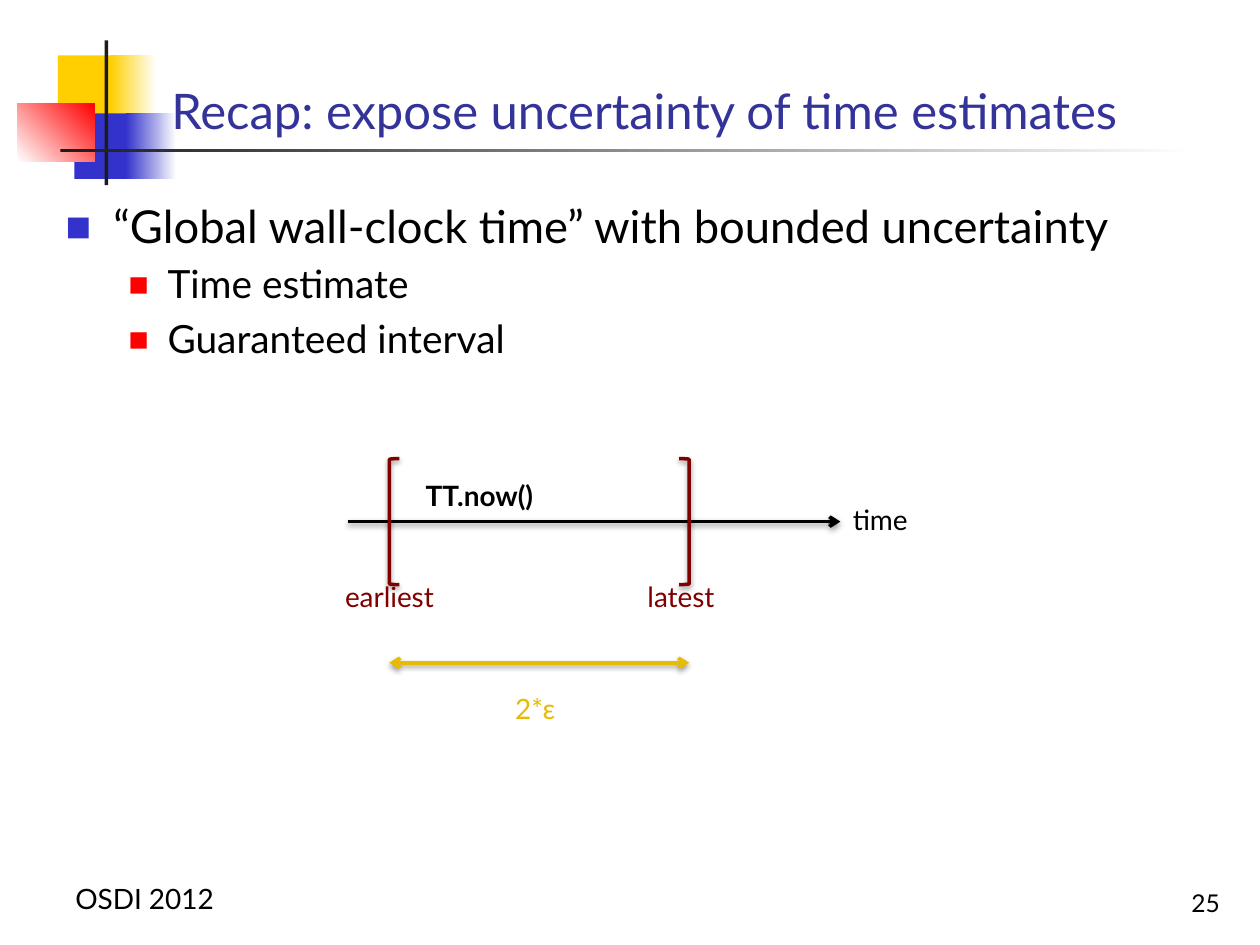
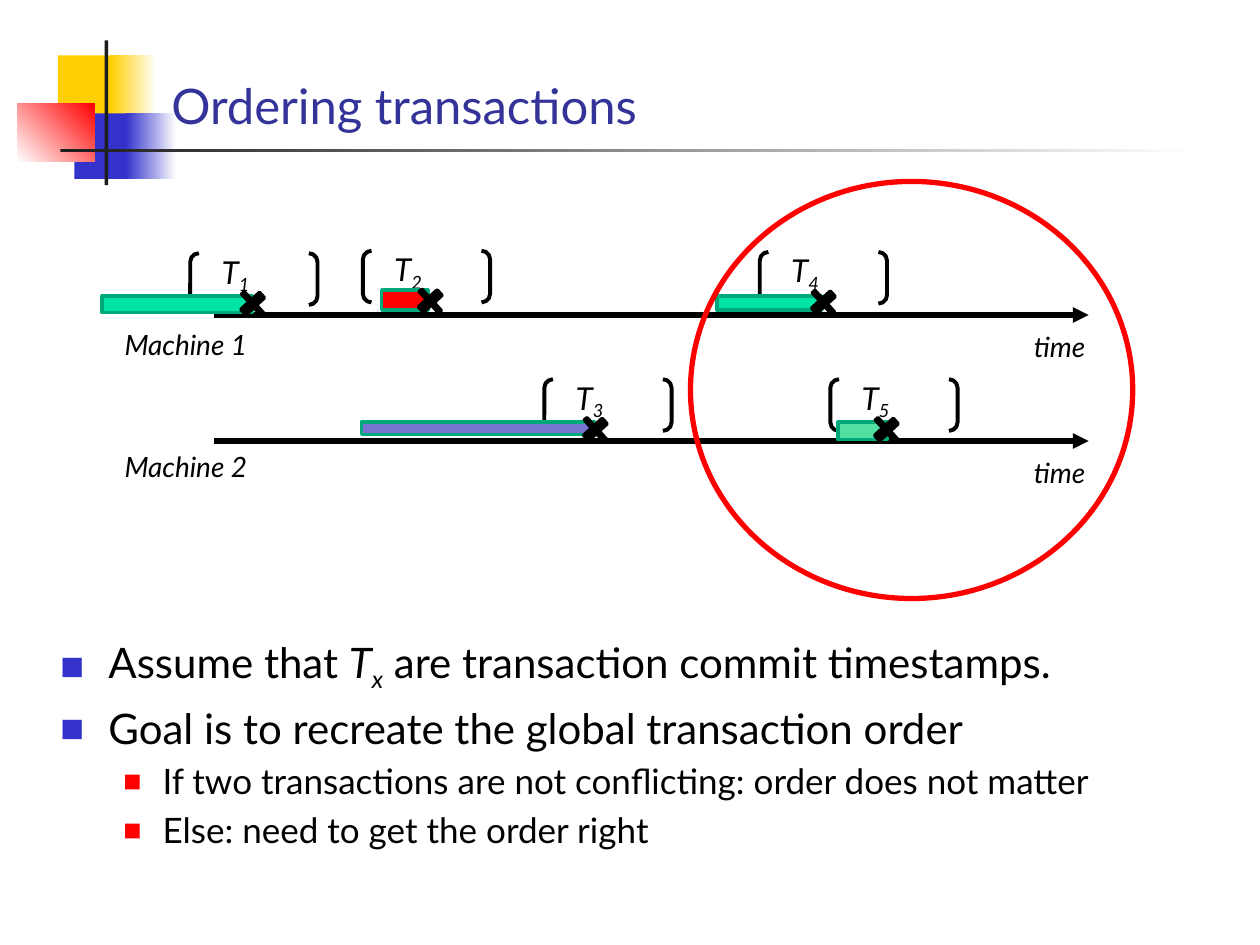
import pptx
import pptx.util
import pptx.dml.color
import pptx.enum.shapes
import pptx.enum.text
import pptx.oxml.ns
from lxml import etree

RGB = pptx.dml.color.RGBColor
SHAPE = pptx.enum.shapes.MSO_SHAPE
ALIGN = pptx.enum.text.PP_ALIGN
ANCHOR = pptx.enum.text.MSO_ANCHOR
FIT = pptx.enum.text.MSO_AUTO_SIZE
Pt = pptx.util.Pt
qn = pptx.oxml.ns.qn

BLACK = RGB(0x00, 0x00, 0x00)
WHITE = RGB(0xFF, 0xFF, 0xFF)
INK = RGB(0x1C, 0x1C, 0x1C)
YELLOW = RGB(0xFF, 0xCF, 0x01)
BLUE = RGB(0x33, 0x33, 0xCC)
RED = RGB(0xFF, 0x00, 0x00)
TITLE_BLUE = RGB(0x33, 0x33, 0x99)
MAROON = RGB(0x80, 0x00, 0x00)
GOLD = RGB(0xE7, 0xBB, 0x01)
MINT = RGB(0x00, 0xE4, 0xA8)
PALE_GREEN = RGB(0x54, 0xDF, 0xA2)
VIOLET = RGB(0x75, 0x75, 0xD1)
TEAL = RGB(0x00, 0xA9, 0x7C)

FONT = "Lato"
SLIDE_W, SLIDE_H = pptx.util.Inches(10), pptx.util.Inches(7.5)
COLS, ROWS = 10, 7.5

# Per list level: left margin and hanging indent in columns, bullet colour, bullet size in %
LEVELS = [(0.38, 0.38, BLUE, 60), (0.81, 0.31, RED, 55)]


def col(n):
    return round(SLIDE_W * n / COLS)


def row(n):
    return round(SLIDE_H * n / ROWS)


def place(x, y, w, h):
    """Turn a grid box into left, top, width, height."""
    return col(x), row(y), col(w), row(h)


def set_all(obj, **values):
    for name, value in values.items():
        setattr(obj, name, value)


def sub(parent, tag, **attrs):
    return etree.SubElement(parent, qn(tag), {k: str(v) for k, v in attrs.items()})


def set_effects(s, shadow):
    """Replace the theme's effects by none, or by one soft drop shadow."""
    effects = sub(s.element.spPr, "a:effectLst")
    if shadow:
        drop = sub(effects, "a:outerShdw", blurRad=Pt(3.1), dist=Pt(1.6),
                   dir=90 * 60000, rotWithShape=0)
        sub(sub(drop, "a:srgbClr", val=BLACK), "a:alpha", val=38000)


def add_figure(slide, kind, box, fill=None, line=None, width=2, shadow=False):
    """Add a preset shape; a pair of colours with an angle as fill is a gradient."""
    s = slide.shapes.add_shape(kind, *place(*box))
    if fill is None:
        s.fill.background()
    elif isinstance(fill, RGB):
        s.fill.solid()
        s.fill.fore_color.rgb = fill
    else:
        start, end, angle = fill
        s.fill.gradient()
        s.fill.gradient_angle = angle
        for stop, color in zip(s.fill.gradient_stops, (start, end)):
            stop.color.rgb = color
    if line is None:
        s.line.fill.background()
    else:
        s.line.color.rgb = line
        s.line.width = Pt(width)
    set_effects(s, shadow)
    return s


def add_arrow(slide, x1, x2, y, color, width, tail, head=None, shadow=False):
    c = slide.shapes.add_connector(pptx.enum.shapes.MSO_CONNECTOR.STRAIGHT,
                                   col(x1), row(y), col(x2), row(y))
    c.line.color.rgb = color
    c.line.width = Pt(width)
    ln = c.line._get_or_add_ln()
    for tag, kind in (("a:headEnd", head), ("a:tailEnd", tail)):
        if kind:
            sub(ln, tag, type=kind)
    set_effects(c, shadow)


def add_runs(p, runs, size, color=BLACK, **fmt):
    """Fill p with runs: a string, or (text, font values, baseline in %) tuples."""
    for text, extra, baseline in [(runs, {}, 0)] if isinstance(runs, str) else runs:
        r = p.add_run()
        r.text = text
        set_all(r.font, name=FONT, size=Pt(size), **{**fmt, **extra})
        r.font.color.rgb = color
        if baseline:
            r._r.get_or_add_rPr().set("baseline", str(baseline * 1000))


def subscripted(base, index):
    return [(base, {"italic": True}, 0), (index, {"italic": True}, -25)]


def add_label(slide, box, runs, size=16, color=BLACK, align=ALIGN.LEFT,
              anchor=ANCHOR.TOP, wrap=True, **fmt):
    tf = slide.shapes.add_textbox(*place(*box)).text_frame
    set_all(tf, word_wrap=wrap, vertical_anchor=anchor,
            auto_size=FIT.NONE if wrap else FIT.SHAPE_TO_FIT_TEXT)
    tf.paragraphs[0].alignment = align
    add_runs(tf.paragraphs[0], runs, size, color, **fmt)


def set_title(slide, text, top):
    s = slide.shapes.title
    set_all(s, **dict(zip(("left", "top", "width", "height"), place(1.26, top, 8.52, 0.93))))
    set_all(s.text_frame, vertical_anchor=ANCHOR.BOTTOM, auto_size=FIT.NONE, word_wrap=True)
    p = s.text_frame.paragraphs[0]
    p.alignment = ALIGN.LEFT
    add_runs(p, text, 28, TITLE_BLUE)


def set_list(slide, box, sizes, items):
    """Fill the body placeholder with (level, runs) items; sizes go by level."""
    s = slide.placeholders[1]
    set_all(s, **dict(zip(("left", "top", "width", "height"), place(*box))))
    tf = s.text_frame
    set_all(tf, auto_size=FIT.NONE, word_wrap=True)
    for i, (level, runs) in enumerate(items):
        p = tf.add_paragraph() if i else tf.paragraphs[0]
        p.level = level
        margin, hang, color, percent = LEVELS[level]
        pPr = p._p.get_or_add_pPr()
        pPr.set("marL", str(col(margin)))
        pPr.set("indent", str(-col(hang)))
        sub(sub(pPr, "a:buClr"), "a:srgbClr", val=color)
        sub(pPr, "a:buSzPct", val=percent * 1000)
        sub(pPr, "a:buFont", typeface=FONT)
        sub(pPr, "a:buChar", char="■")
        add_runs(p, runs, sizes[level])


def decorate_layout(layout, slide):
    """Draw the corner blocks and title rule, then move them to the layout."""
    for box, fill in [
        ((0.46, 0.44, 0.48, 0.52), YELLOW),
        ((0.88, 0.44, 0.36, 0.52), (YELLOW, WHITE, 0)),
        ((0.59, 0.9, 0.46, 0.52), BLUE),
        ((1, 0.9, 0.4, 0.52), (BLUE, WHITE, 0)),
        ((0.14, 0.82, 0.61, 0.46), (WHITE, RED, 45)),
        ((0.83, 0.32, 0.03, 1.15), INK),
        ((0.48, 1.18, 9, 0.03), (INK, WHITE, 0)),
    ]:
        s = add_figure(slide, SHAPE.RECTANGLE, box, fill)
        layout.shapes.element.append(s.element)


def build_uncertainty(slide):
    set_title(slide, "Recap: expose uncertainty of time estimates", 0.23)
    set_list(slide, (0.42, 1.52, 9.24, 1.35), (25.9, 22.2), [
        (0, "“Global wall-clock time” with bounded uncertainty"),
        (1, "Time estimate"),
        (1, "Guaranteed interval"),
    ])
    earliest, latest, bracket_w = 3.09, 5.47, 0.08
    add_arrow(slide, 2.76, 6.67, 4.14, BLACK, 2, "arrow", shadow=True)
    for kind, x in ((SHAPE.LEFT_BRACKET, earliest),
                    (SHAPE.RIGHT_BRACKET, latest - bracket_w)):
        add_figure(slide, kind, (x, 3.64, bracket_w, 1), line=MAROON, shadow=True)
    add_arrow(slide, earliest, latest, 5.26, GOLD, 2, "arrow", "arrow", shadow=True)
    for text, x, y, w, color, bold in [
        ("time", 6.67, 3.94, 0.67, BLACK, False),
        ("earliest", 2.64, 4.55, 0.96, MAROON, False),
        ("latest", 5.04, 4.55, 0.78, MAROON, False),
        ("TT.now()", 3.28, 3.75, 1.23, BLACK, True),
        ("2*ε", 3.99, 5.44, 0.57, GOLD, False),
    ]:
        add_label(slide, (x, y, w, 0.4), text, color=color, wrap=False, bold=bold)
    add_label(slide, (0.5, 6.95, 2.33, 0.4), "OSDI 2012")
    add_label(slide, (3.11, 6.83, 6.67, 0.5), "25", 14, align=ALIGN.RIGHT,
              anchor=ANCHOR.BOTTOM)


def add_machine(slide, name, axis_y, name_y):
    add_arrow(slide, 1.7, 8.64, axis_y, BLACK, 3, "triangle")
    for text, x, y, w in (("time", 8.04, axis_y + 0.14, 0.74), (name, 0.7, name_y, 1.55)):
        add_label(slide, (x, y, w, 0.22), text, align=ALIGN.CENTER,
                  anchor=ANCHOR.MIDDLE, italic=True)


def add_transaction(slide, index, x, y, bar, color, commit_x):
    """Add the uncertainty brackets, label, duration bar and commit cross."""
    w, h = 1.01, 0.41
    add_figure(slide, SHAPE.DOUBLE_BRACKET, (x, y, w, h), line=BLACK, width=2.25)
    add_label(slide, (x + 0.15, y - 0.04, w, h), subscripted("T", index), 18,
              anchor=ANCHOR.MIDDLE)
    add_figure(slide, SHAPE.RECTANGLE, bar, color, TEAL)
    cross = add_figure(slide, SHAPE.CROSS, (commit_x, y + 0.3, 0.23, 0.2), BLACK, BLACK)
    cross.rotation = 47.8
    cross.adjustments[0] = 0.43


def build_ordering(slide):
    set_title(slide, "Ordering transactions", 0.19)
    set_list(slide, (0.38, 5, 9.4, 1.38), (24, 20), [
        (0, [("Assume that ", {}, 0), *subscripted("T", "x"),
             (" are transaction commit timestamps.", {}, 0)]),
        (0, "Goal is to recreate the global transaction order"),
        (1, "If two transactions are not conflicting: order does not matter"),
        (1, "Else: need to get the order right"),
    ])
    add_machine(slide, "Machine 1", 2.5, 2.62)
    add_machine(slide, "Machine 2", 3.5, 3.59)
    for transaction in [
        ("1", 1.51, 2.01, (0.81, 2.35, 1.19, 0.13), MINT, 1.89),
        ("2", 2.88, 1.99, (3.03, 2.3, 0.37, 0.16), RED, 3.3),
        ("3", 4.32, 3.01, (2.87, 3.35, 1.85, 0.1), VIOLET, 4.61),
        ("4", 6.03, 2, (5.69, 2.35, 0.83, 0.11), MINT, 6.42),
        ("5", 6.59, 3.01, (6.65, 3.35, 0.39, 0.14), PALE_GREEN, 6.92),
    ]:
        add_transaction(slide, *transaction)
    add_figure(slide, SHAPE.OVAL, (5.48, 1.44, 3.51, 3.31), line=RED, width=3)


def main():
    prs = pptx.Presentation()
    set_all(prs, slide_width=SLIDE_W, slide_height=SLIDE_H)
    layout = prs.slide_layouts[1]
    slides = [prs.slides.add_slide(layout) for _ in range(2)]
    decorate_layout(layout, slides[0])
    build_uncertainty(slides[0])
    build_ordering(slides[1])
    prs.save("out.pptx")


if __name__ == "__main__":
    main()
